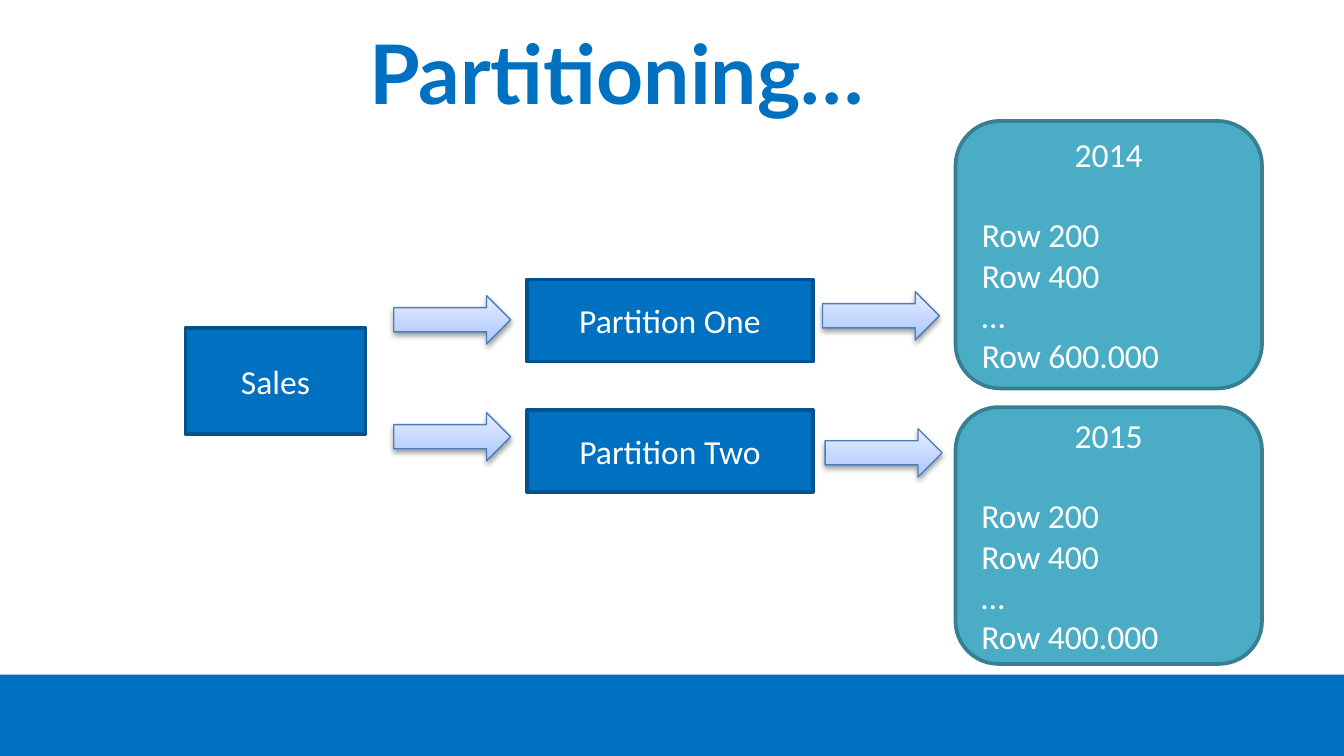
import pptx
import pptx.util
import pptx.dml.color
import pptx.enum.shapes
import pptx.enum.text
import pptx.oxml
import pptx.oxml.ns

Inches = pptx.util.Inches
Pt = pptx.util.Pt
KIND = pptx.enum.shapes.MSO_SHAPE
ALIGN = pptx.enum.text.PP_ALIGN
MIDDLE = pptx.enum.text.MSO_ANCHOR.MIDDLE

BLUE = "0070C0"
STOPS = [(0, "A4C4FF"), (35, "BFD4FF"), (100, "E6EEFF")]


def color(code):
    return pptx.dml.color.RGBColor.from_string(code)


def style(para, size, font, code, align, bold=False):
    para.alignment = align
    for run in para.runs:
        run.font.size = Pt(size)
        run.font.name = font
        run.font.bold = bold
        run.font.color.rgb = color(code)


def add_shape(slide, kind, place, line=None, width=2):
    shape = slide.shapes.add_shape(kind, *map(Inches, place))
    shape.shadow.inherit = False
    if line:
        shape.line.color.rgb = color(line)
        shape.line.width = Pt(width)
    else:
        shape.line.fill.background()
    return shape


def add_box(slide, kind, place, fill, line=None, text=""):
    """Add a filled shape whose first line of text is centred."""
    box = add_shape(slide, kind, place, line)
    box.fill.solid()
    box.fill.fore_color.rgb = color(fill)
    frame = box.text_frame
    frame.word_wrap = True
    frame.vertical_anchor = MIDDLE
    frame.text = text
    for i, para in enumerate(frame.paragraphs):
        style(para, 18, "Calibri", "FFFFFF", ALIGN.LEFT if i else ALIGN.CENTER)
    return box


def add_year(slide, top, height, year, last):
    rows = [year, "Row 200", "Row 400", "…", last]
    box = add_box(slide, KIND.ROUNDED_RECTANGLE, (7.11, top, 2.28, height),
                  "4BACC6", "377F92", "\n".join(rows))
    box.text_frame.paragraphs[0].space_after = Pt(21.6)


def add_arrow(slide, left, top):
    arrow = add_shape(slide, KIND.RIGHT_ARROW, (left, top, 0.87, 0.36),
                      "4B7EBC", 0.75)
    arrow.fill.gradient()
    arrow.fill.gradient_angle = 90
    space = pptx.oxml.ns.nsdecls("a")
    qn = pptx.oxml.ns.qn
    props = arrow._element.spPr
    stops = props.find(qn("a:gradFill")).find(qn("a:gsLst"))
    for old in list(stops):
        stops.remove(old)
    for pos, code in STOPS:
        stops.append(pptx.oxml.parse_xml(
            f'<a:gs {space} pos="{pos * 1000}"><a:srgbClr val="{code}"/></a:gs>'))
    props.find(qn("a:effectLst")).append(pptx.oxml.parse_xml(
        f'<a:outerShdw {space} blurRad="{Pt(3.1)}" dist="{Pt(1.6)}" '
        'dir="5400000" rotWithShape="0"><a:srgbClr val="000000">'
        '<a:alpha val="38000"/></a:srgbClr></a:outerShdw>'))


def add_title(slide, text):
    box = slide.shapes.add_textbox(*map(Inches, (0.09, 0.06, 9, 0.94)))
    frame = box.text_frame
    frame.word_wrap = True
    frame.vertical_anchor = MIDDLE
    frame.text = text
    style(frame.paragraphs[0], 44, "Lato", BLUE, ALIGN.CENTER, True)


def main():
    deck = pptx.Presentation()
    deck.slide_width = Inches(10)
    deck.slide_height = Inches(10) * 9 // 16
    slide = deck.slides.add_slide(deck.slide_layouts[6])

    add_box(slide, KIND.RECTANGLE, (0, 5.02, 10, 0.61), BLUE)
    add_title(slide, "Partitioning…")
    add_year(slide, 0.9, 1.99, "2014", "Row 600.000")
    for spot in [(2.93, 2.2), (2.93, 3.07), (6.12, 2.17), (6.14, 3.19)]:
        add_arrow(slide, *spot)
    for top, text in [(2.08, "Partition One"), (3.05, "Partition Two")]:
        add_box(slide, KIND.RECTANGLE, (3.92, top, 2.13, 0.61),
                BLUE, "00538E", text)
    add_year(slide, 3.03, 1.91, "2015", "Row 400.000")
    add_box(slide, KIND.RECTANGLE, (1.38, 2.44, 1.34, 0.79),
            BLUE, "00538E", "Sales")

    deck.save("out.pptx")


if __name__ == "__main__":
    main()
